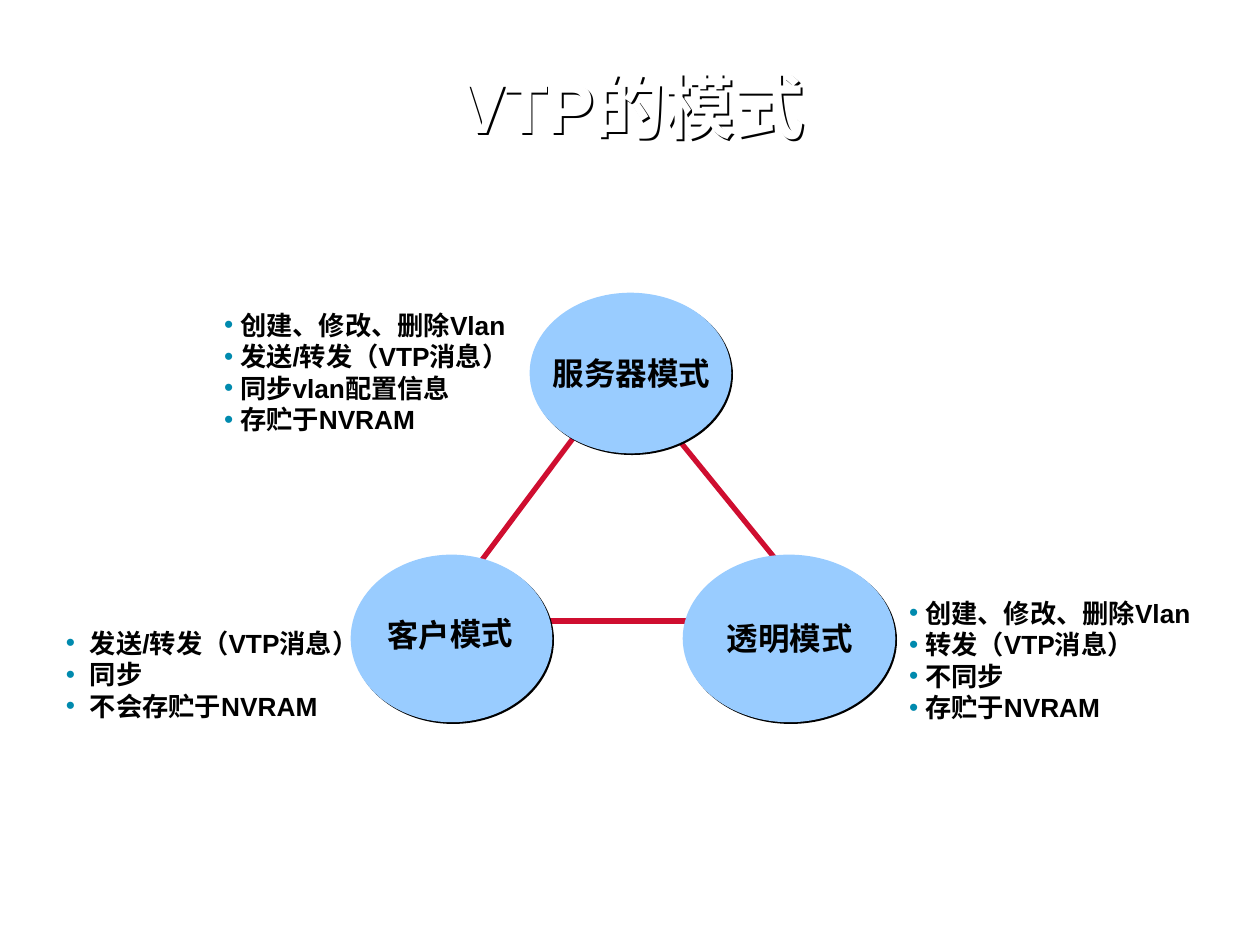
from lxml import etree
from pptx import Presentation, util as u
from pptx.dml.color import RGBColor
from pptx.enum import shapes, text
from pptx.oxml.ns import qn

PX_PER_INCH = 126
COLORS = {"title": "FFFFFF", "text": "000000", "mode": "99CCFF",
          "link": "CF0E30", "bullet": "008AAE", "shadow": "000000"}
FONT = "Arial"

TITLE = ("VTP的模式", (106, 32, 1051, 158))
LINKS = [(503, 621, 750, 621), (458, 592, 610, 389), (795, 583, 656, 412)]
MODES = [
    {"name": "服务器模式", "oval": (531, 294, 199, 158),
     "label": (539, 346, 186, 52), "inset": (14, 8), "turn": 0.2},
    {"name": "客户模式", "oval": (352, 556, 199, 165),
     "label": (373, 607, 155, 52), "inset": (14, 8), "turn": 358.8},
    {"name": "透明模式", "oval": (684, 556, 210, 165),
     "label": (716, 614, 149, 49), "inset": (11, 5), "turn": 0},
]
FEATURES = [
    {"box": (55, 622, 316, 137), "indent": 24,
     "items": ["发送/转发（VTP消息）", "同步", "不会存贮于NVRAM"]},
    {"box": (213, 304, 309, 200), "indent": 16,
     "items": ["创建、修改、删除Vlan", "发送/转发（VTP消息）",
               "同步vlan配置信息", "存贮于NVRAM"]},
    {"box": (898, 592, 307, 169), "indent": 16,
     "items": ["创建、修改、删除Vlan", "转发（VTP消息）", "不同步", "存贮于NVRAM"]},
]


def px(n):
    return u.Emu(round(n * u.Inches(1) / PX_PER_INCH))


def color(key):
    return RGBColor.from_string(COLORS[key])


def add_shadow(part):
    part.shadow.inherit = False
    effects = part._element.spPr.find(qn("a:effectLst"))
    shadow = etree.SubElement(effects, qn("a:outerShdw"), dist="17780",
                              dir="2700000", algn="ctr", rotWithShape="0")
    etree.SubElement(shadow, qn("a:srgbClr"), val=COLORS["shadow"])


def add_text(slide, box, inset, lines, size, key="text", wrap=True, grow=True):
    holder = slide.shapes.add_textbox(*map(px, box))
    frame = holder.text_frame
    frame.word_wrap = wrap
    frame.auto_size = (text.MSO_AUTO_SIZE.SHAPE_TO_FIT_TEXT if grow
                       else text.MSO_AUTO_SIZE.NONE)
    frame.margin_left = frame.margin_right = px(inset[0])
    frame.margin_top = frame.margin_bottom = px(inset[1])
    for i, line in enumerate(lines):
        paragraph = frame.add_paragraph() if i else frame.paragraphs[0]
        run = paragraph.add_run()
        run.text = line
        run.font.size = u.Pt(size)
        run.font.bold = True
        run.font.color.rgb = color(key)
        run.font.name = FONT
    return holder


def add_title(slide):
    words, box = TITLE
    title = add_text(slide, box, (10, 5), [words], 40, "title", grow=False)
    title.text_frame.vertical_anchor = text.MSO_ANCHOR.MIDDLE
    heading = title.text_frame.paragraphs[0]
    heading.alignment = text.PP_ALIGN.CENTER
    heading.line_spacing = 0.9
    add_shadow(title)


def add_link(slide, ends):
    link = slide.shapes.add_connector(shapes.MSO_CONNECTOR.STRAIGHT, *map(px, ends))
    link.line.color.rgb = color("link")
    link.line.width = u.Pt(3)
    etree.SubElement(link._element.spPr, qn("a:effectLst"))


def add_oval(slide, box):
    oval = slide.shapes.add_shape(shapes.MSO_SHAPE.OVAL, *map(px, box))
    oval.fill.solid()
    oval.fill.fore_color.rgb = color("mode")
    oval.line.color.rgb = color("mode")
    oval.line.width = u.Pt(1.5)
    add_shadow(oval)


def add_features(slide, group):
    listing = add_text(slide, group["box"], (11, 5), group["items"], 15)
    for paragraph in listing.text_frame.paragraphs:
        props = paragraph._p.get_or_add_pPr()
        props.set("marL", str(px(group["indent"])))
        props.set("indent", str(-px(group["indent"])))
        tint = etree.SubElement(props, qn("a:buClr"))
        etree.SubElement(tint, qn("a:srgbClr"), val=COLORS["bullet"])
        etree.SubElement(props, qn("a:buFont"), typeface=FONT)
        etree.SubElement(props, qn("a:buChar"), char="•")


def main():
    deck = Presentation()
    deck.slide_width, deck.slide_height = px(1260), px(945)
    slide = deck.slides.add_slide(deck.slide_layouts[6])
    add_title(slide)
    for ends in LINKS:
        add_link(slide, ends)
    for mode in MODES:
        add_oval(slide, mode["oval"])
    for mode in MODES:
        label = add_text(slide, mode["label"], mode["inset"], [mode["name"]], 18, wrap=False)
        label.rotation = mode["turn"]
    for group in FEATURES:
        add_features(slide, group)
    deck.save("out.pptx")


if __name__ == "__main__":
    main()
